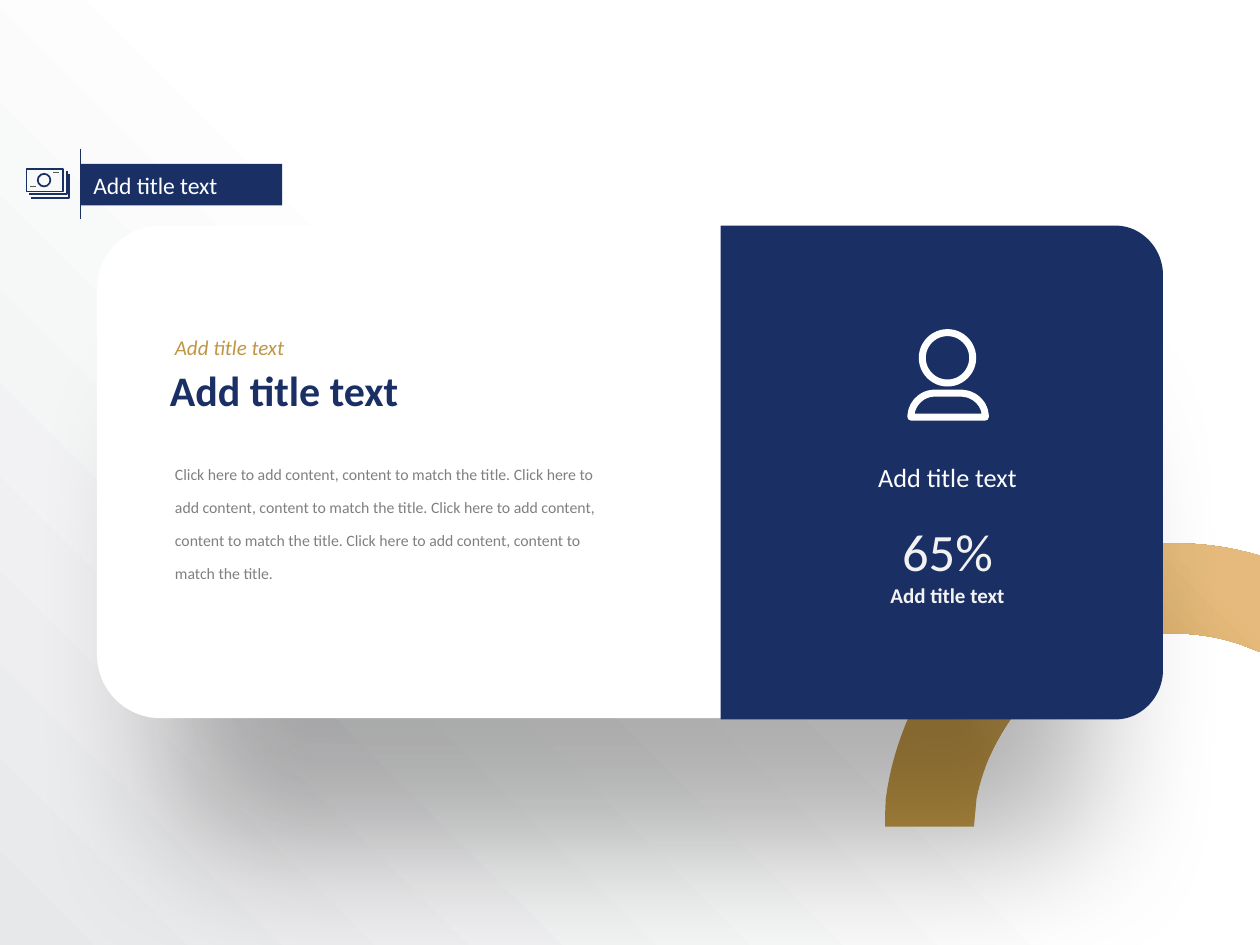
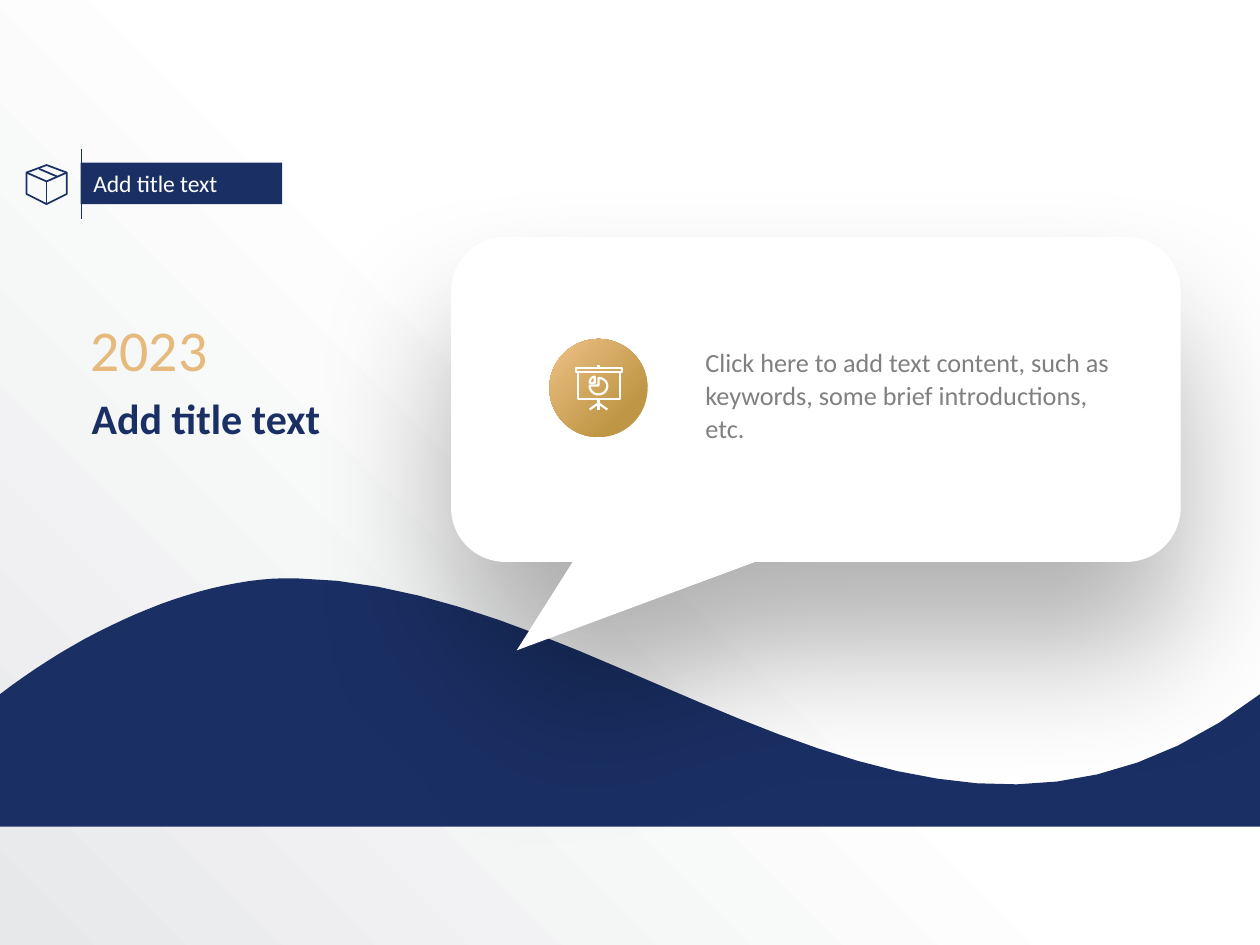
from lxml import etree
from pptx import Presentation
from pptx import util as u
from pptx.dml.color import RGBColor
from pptx.enum import shapes, text
from pptx.oxml.ns import qn

C = {"navy": "1A2F64", "gold": "BF9645", "sand": "E5BA7C", "white": "FFFFFF",
     "mist": "E7E8EA", "gray": "808080", "dash": "595959", "pale": "F2F2F2"}
rgb = {name: RGBColor.from_string(value) for name, value in C.items()}
FONT = "Calibri"
GOLD_STOPS = ((0.24, "gold"), (0.87, "sand"))
In = u.Inches


def draw(s, contours, fill=None, line=None, width=1):
    """Freeform in inches: a 2-tuple is a point, a 6-tuple a Bezier curve."""
    fb = s.shapes.build_freeform(*[v * 1000 for v in contours[0][0]], scale=914.4)
    for start, *steps in contours:
        pts, here = [], start
        for step in steps:
            if len(step) == 2:
                pts.append(step)
            else:
                ctrl = (here, step[:2], step[2:4], step[4:])
                for i in range(1, 25):
                    t = i / 24
                    k = ((1 - t) ** 3, 3 * t * (1 - t) ** 2, 3 * t * t * (1 - t), t ** 3)
                    pts.append([sum(a * c[d] for a, c in zip(k, ctrl)) for d in (0, 1)])
            here = step[-2:]
        fb.move_to(start[0] * 1000, start[1] * 1000)
        fb.add_line_segments([(x * 1000, y * 1000) for x, y in pts], close=here == start)
    sp = fb.convert_to_shape()
    sp.shadow.inherit = False
    sp.fill.background()
    sp.line.fill.background()
    if fill:
        sp.fill.solid()
        sp.fill.fore_color.rgb = rgb[fill]
    if line:
        sp.line.color.rgb = rgb[line]
        sp.line.width = u.Pt(width)
    return sp


def write(s, box, paras, align=text.PP_ALIGN.LEFT, spacing=None):
    """Text box with one run (words, size, colour, bold, italic) per paragraph."""
    tf = s.shapes.add_textbox(*[In(v) for v in box]).text_frame
    tf.word_wrap = True
    for i, (words, size, color, bold, italic) in enumerate(paras):
        p = tf.paragraphs[0] if i == 0 else tf.add_paragraph()
        p.alignment = align
        if spacing:
            p.line_spacing = u.Pt(spacing)
        r = p.add_run()
        r.text = words
        r.font.name, r.font.size = FONT, u.Pt(size)
        r.font.bold, r.font.italic = bold, italic
        r.font.color.rgb = rgb[color]


prs = Presentation()
prs.slide_width, prs.slide_height = In(10), In(7.5)

# Shared background; gradients are collected and coloured together at the end
bg = prs.slide_master.background.fill
gradients = [(bg, 45, ((0, "mist"), (0.51, "white")))]

# Shared title band with its upright rule
slides = []
for top, rule_x in ((1.3, 0.64), (1.29, 0.65)):
    s = prs.slides.add_slide(prs.slide_layouts[5])
    slides.append(s)
    title = s.shapes.title
    title.left, title.top, title.width, title.height = In(0.64), In(top), In(1.6), In(0.33)
    title.fill.solid()
    title.fill.fore_color.rgb = rgb["navy"]
    tf = title.text_frame
    tf.auto_size = text.MSO_AUTO_SIZE.NONE
    tf.word_wrap = True
    tf.vertical_anchor = text.MSO_ANCHOR.MIDDLE
    p = tf.paragraphs[0]
    p.alignment = text.PP_ALIGN.LEFT
    r = p.add_run()
    r.text = "Add title text"
    r.font.name, r.font.size = FONT, u.Pt(13.5)
    r.font.color.rgb = rgb["white"]
    rule = s.shapes.add_connector(shapes.MSO_CONNECTOR.STRAIGHT,
                                  In(rule_x), In(1.18), In(rule_x), In(1.74))
    rule.line.color.rgb = rgb["navy"]
    rule.line.width = u.Pt(0.5)
    etree.SubElement(rule._element.spPr, qn("a:effectLst"))
s1, s2 = slides

# Slide 1: banknote icon
draw(s1, [[(0.21, 1.34), (0.5, 1.34), (0.5, 1.52), (0.21, 1.52), (0.21, 1.34)],
          [(0.53, 1.36), (0.53, 1.54), (0.23, 1.54)],
          [(0.55, 1.38), (0.55, 1.57), (0.25, 1.57)]], line="navy")
draw(s1, [[(0.24, 1.48), (0.29, 1.48)], [(0.42, 1.37), (0.47, 1.37)]], line="dash", width=0.75)

# Slide 1: gold arch behind the card
arch = draw(s1, [[(7.73, 6.56), (7.02, 6.56), (7.03, 6.34),
                  (7.12, 5.65, 7.52, 5, 8.17, 4.62), (8.76, 4.29, 9.43, 4.23, 10.03, 4.42),
                  (10.04, 4.42), (10.04, 5.19), (9.86, 5.12),
                  (9.44, 4.97, 8.95, 5, 8.53, 5.24), (8.11, 5.49, 7.84, 5.89, 7.75, 6.34),
                  (7.73, 6.56)]], fill="gold")
gradients.append((arch.fill, 45, GOLD_STOPS))

# Slide 2: wave
draw(s2, [[(2.35, 4.59), (1.63, 4.57, 0.73, 4.95, 0, 5.51), (0, 6.56), (10, 6.56), (10, 5.51),
           (7.39, 7.53, 4.96, 4.64, 2.35, 4.59)]], fill="navy")

# White cards with soft shadows: distance in points, scale in percent
ST = shapes.MSO_SHAPE
for s, kind, box, adj, dist, scale in (
        (s1, ST.ROUNDED_RECTANGLE, (0.77, 1.79, 8.46, 3.91), (0.129,), 113, 86),
        (s2, ST.ROUNDED_RECTANGULAR_CALLOUT, (3.58, 1.88, 5.79, 2.58),
         (-0.41, 0.772, 0.167), 49, 100)):
    card = s.shapes.add_shape(kind, *[In(v) for v in box])
    for i, value in enumerate(adj):
        card.adjustments[i] = value
    card.fill.solid()
    card.fill.fore_color.rgb = rgb["white"]
    card.line.fill.background()
    card.shadow.inherit = False
    shadow = etree.SubElement(
        card._element.spPr.find(qn("a:effectLst")), qn("a:outerShdw"),
        blurRad=str(u.Pt(83)), dist=str(u.Pt(dist)), dir="5400000",
        sx=str(scale * 1000), sy=str(scale * 1000), algn="t", rotWithShape="0")
    color = etree.SubElement(shadow, qn("a:srgbClr"), val="000000")
    etree.SubElement(color, qn("a:alpha"), val="31000")

# Slide 1: navy panel and the person's shoulders
draw(s1, [[(5.72, 1.79), (8.85, 1.79), (9.06, 1.79, 9.23, 1.97, 9.23, 2.18), (9.23, 5.32),
           (9.23, 5.53, 9.06, 5.71, 8.85, 5.71), (5.72, 5.71), (5.72, 1.79)]], fill="navy")
draw(s1, [[(7.23, 3.31), (7.23, 3.2, 7.32, 3.12, 7.42, 3.12), (7.62, 3.12),
           (7.73, 3.12, 7.82, 3.2, 7.82, 3.31), (7.23, 3.31)]], line="white", width=4)

# Circles: banknote centre, head, gold disc
for s, x, y, size, line, width in ((s1, 0.3, 1.38, 0.1, "navy", 1),
                                   (s1, 7.32, 2.64, 0.4, "white", 4),
                                   (s2, 4.36, 2.69, 0.78, None, 0)):
    sp = s.shapes.add_shape(ST.OVAL, In(x), In(y), In(size), In(size))
    sp.shadow.inherit = False
    if line:
        sp.fill.background()
        sp.line.color.rgb = rgb[line]
        sp.line.width = u.Pt(width)
    else:
        sp.line.fill.background()
        gradients.append((sp.fill, 135, GOLD_STOPS))

# Slide 1: text
mid = text.PP_ALIGN.CENTER
write(s1, (1.25, 2.84, 4.1, 0.5), [("Add title text", 24, "navy", True, False)])
write(s1, (1.29, 2.61, 1.3, 0.3), [("Add title text", 12, "gold", False, True)])
write(s1, (1.29, 3.53, 3.59, 1.13),
      [(" ".join(["Click here to add content, content to match the title."] * 4),
        9, "gray", False, False)], spacing=18.8)
write(s1, (6.66, 3.61, 1.72, 0.35), [("Add title text", 15, "white", False, False)], mid)
write(s1, (6.66, 4.07, 1.72, 0.81), [("65%", 30, "pale", False, False),
                                     ("Add title text", 12, "pale", True, False)], mid)

# Slide 2: parcel icon
draw(s2, [[(0.37, 1.31), (0.53, 1.37), (0.53, 1.54), (0.37, 1.62), (0.21, 1.54),
           (0.21, 1.37), (0.37, 1.31)],
          [(0.21, 1.37), (0.37, 1.44), (0.53, 1.37)],
          [(0.37, 1.44), (0.37, 1.62)], [(0.31, 1.34), (0.45, 1.4)]], line="navy")

# Slide 2: presentation board icon
draw(s2, [[(4.57, 2.92), (4.94, 2.92), (4.94, 2.95), (4.57, 2.95), (4.57, 2.92)],
          [(4.59, 2.95), (4.59, 3.17), (4.92, 3.17), (4.92, 2.95)],
          [(4.75, 2.9), (4.75, 2.92)], [(4.75, 3.17), (4.75, 3.25)],
          [(4.68, 3.25), (4.75, 3.2), (4.82, 3.25)],
          [(4.75, 3), (4.79, 3, 4.82, 3.03, 4.82, 3.06), (4.82, 3.1, 4.79, 3.13, 4.75, 3.13),
           (4.71, 3.13, 4.68, 3.1, 4.68, 3.06), (4.75, 3.06), (4.75, 3)],
          [(4.72, 2.99), (4.7, 2.99, 4.68, 3.01, 4.68, 3.04), (4.72, 3.04), (4.72, 2.99)]],
     line="white", width=1.25)

# Slide 2: text
write(s2, (0.63, 3.07, 2.6, 0.5), [("Add title text", 24, "navy", True, False)])
write(s2, (0.62, 2.44, 1.94, 0.66), [("2023", 33, "sand", False, False)])
write(s2, (5.5, 2.69, 3.48, 0.89),
      [("Click here to add text content, such as keywords, some brief introductions, etc.",
        15, "gray", False, False)], spacing=18.8)

# Gradients
for fill, angle, stops in gradients:
    fill.gradient()
    fill.gradient_angle = angle
    for stop, (position, name) in zip(fill.gradient_stops, stops):
        stop.position = position
        stop.color.rgb = rgb[name]

prs.save("out.pptx")
